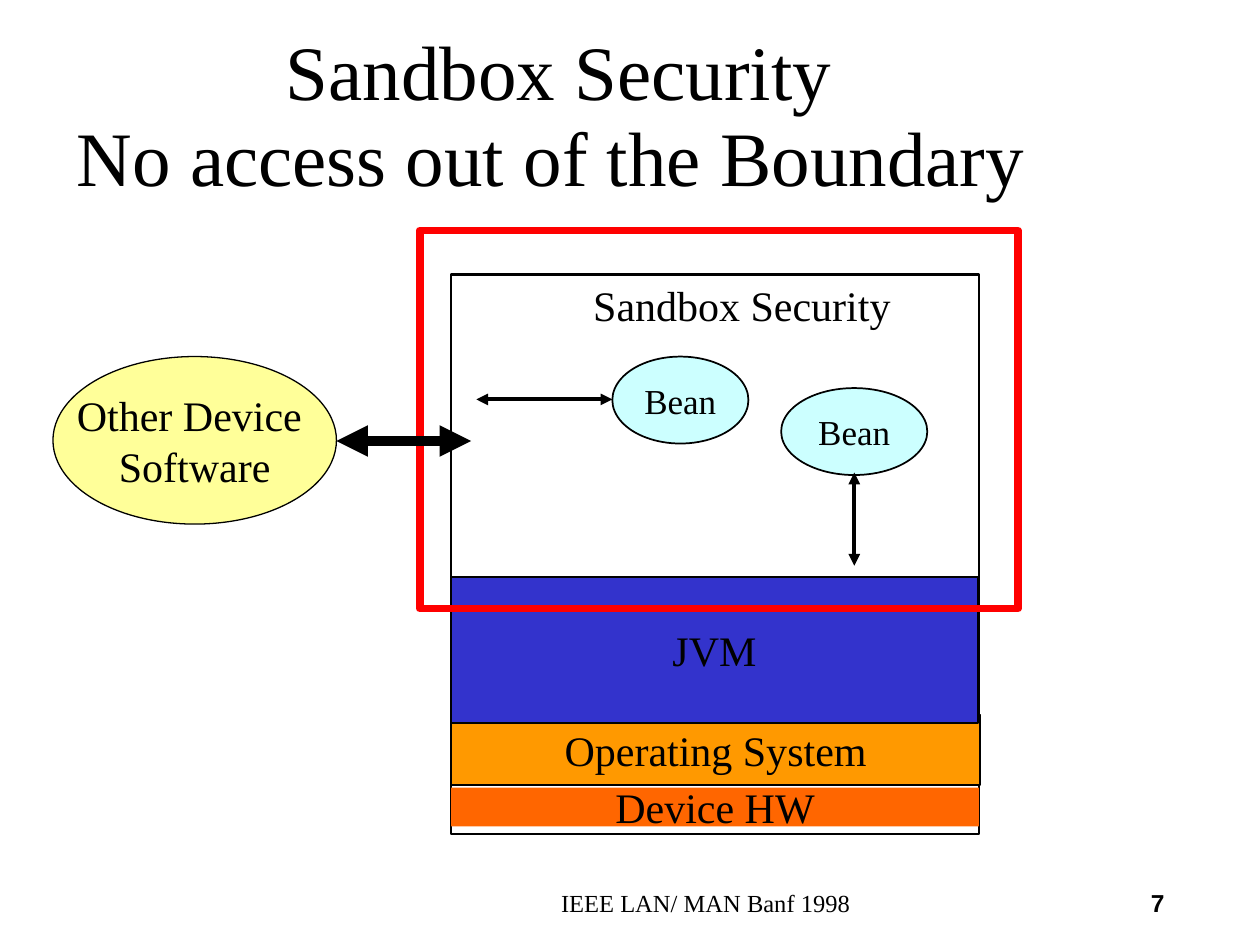
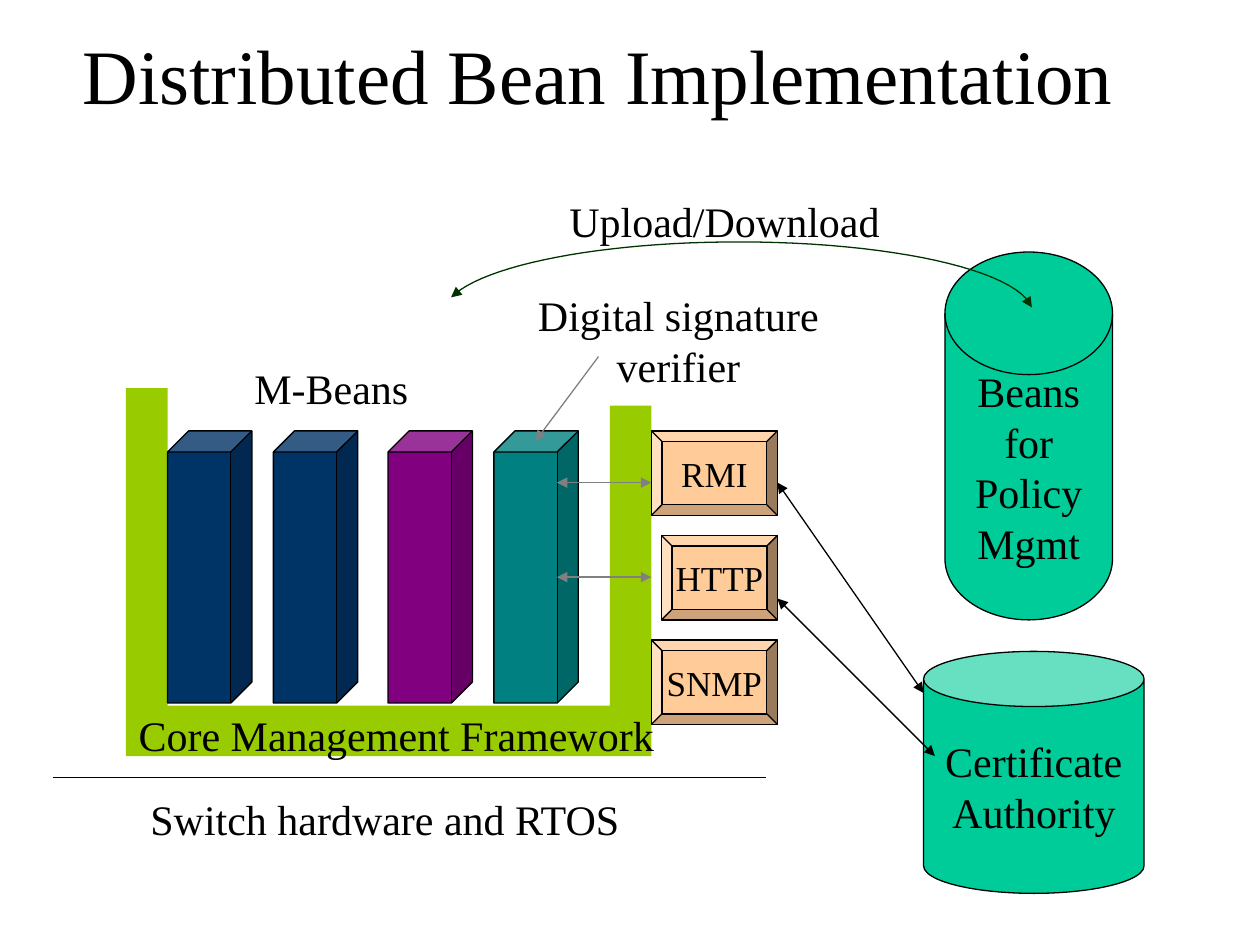
from lxml import etree
from pptx import Presentation
from pptx.dml.color import RGBColor
from pptx.enum.shapes import MSO_CONNECTOR, MSO_SHAPE
from pptx.enum.text import MSO_ANCHOR, MSO_AUTO_SIZE, PP_ALIGN
from pptx.oxml.ns import qn
from pptx.util import Inches, Pt

RECTANGLE, ELLIPSE = MSO_SHAPE.RECTANGLE, MSO_SHAPE.OVAL
CUBE, BEVEL, CAN = MSO_SHAPE.CUBE, MSO_SHAPE.BEVEL, MSO_SHAPE.CAN
DISK = MSO_SHAPE.FLOWCHART_MAGNETIC_DISK
STRAIGHT = MSO_CONNECTOR.STRAIGHT
TOP, MIDDLE, BOTTOM = MSO_ANCHOR.TOP, MSO_ANCHOR.MIDDLE, MSO_ANCHOR.BOTTOM
LEFT, CENTER, RIGHT = PP_ALIGN.LEFT, PP_ALIGN.CENTER, PP_ALIGN.RIGHT
NO_AUTOFIT = MSO_AUTO_SIZE.NONE
TITLE_ONLY = 5

SERIF, SANS = "Times New Roman", "Arial"
BLACK, GREY, RED, DARK_GREEN = "000000", "808080", "FF0000", "003300"
CYAN, YELLOW, LIME, GREEN, PEACH = "CCFFFF", "FFFF99", "99CC00", "00CC99", "FFCC99"

SECURITY_TITLE = "Sandbox Security\nNo access out of the Boundary"
FOOTER, PAGE_NUMBER = "IEEE LAN/ MAN Banf 1998 ", "7"
STACK_LEFT = 3.58
STACK = [
    ("", 2.18, 4.19, 4.44, None, 1.5),
    ("Device HW", 6.25, 4.19, 0.31, "FF6600", 0),
    ("Operating System", 5.67, 4.2, 0.56, "FF9900", 1),
    ("JVM", 4.58, 4.18, 1.16, "3333CC", 1),
]
BEANS = [(4.86, 2.83, 1.08, 0.69), (6.2, 3.08, 1.16, 0.69)]
BOUNDARY = (3.33, 1.83, 4.75, 3)
OTHER_SOFTWARE = ("Other Device \nSoftware", (0.42, 2.83, 2.25, 1.33))
SECURITY_ARROWS = [
    ((3.78, 3.17), (4.86, 3.17), 2.25),
    ((6.78, 3.75), (6.78, 4.49), 2.25),
    ((2.67, 3.5), (3.74, 3.5), 6),
]

BEAN_TITLE = "Distributed Bean Implementation"
FRAMEWORK = [(1, 3.08), (1, 6), (5.17, 6), (5.17, 3.22),
             (4.84, 3.22), (4.84, 5.6), (1.33, 5.6), (1.33, 3.08)]
CUBES = [(1.33, "003366"), (2.17, "003366"), (3.08, "800080"), (3.92, "008080")]
PROTOCOLS = [("RMI", 5.17), ("HTTP", 5.25), ("SNMP", 5.17)]
PROTOCOL_RIGHT, PROTOCOL_TOP, PROTOCOL_STEP = 6.17, 3.42, 0.83
STORES = [
    (DISK, "Beans\nfor\nPolicy\nMgmt", (7.5, 2, 1.33, 2.92)),
    (CAN, "Certificate\nAuthority", (7.33, 5.17, 1.75, 1.92)),
]
LABELS = [
    ("Switch hardware and RTOS", (1.08, 6.25, 3.95, 0.5)),
    ("Core Management Framework", (1, 5.58, 4.29, 0.5)),
    ("M-Beans", (1.92, 2.83, 1.42, 0.5)),
    ("Upload/Download", (4.42, 1.5, 2.66, 0.5)),
    ("Digital signature\nverifier", (4.17, 2.25, 2.43, 0.9)),
]
TRANSFER_CURVE = [
    ((3.58, 2.36), (3.84, 2.1), (4.78, 1.92), (5.86, 1.92)),
    ((5.86, 1.92), (7.06, 1.92), (8.07, 2.14), (8.19, 2.44)),
]
CURVE_STEPS = 24
BEAN_LINES = [
    ((0.42, 6.17), (6.08, 6.17), BLACK, ""),
    ((4.75, 2.83), (4.25, 3.5), GREY, "tail"),
    ((7.42, 6), (6.17, 4.75), BLACK, "head tail"),
    ((7.33, 5.5), (6.17, 3.83), BLACK, "head tail"),
    ((5.17, 3.83), (4.42, 3.83), GREY, "head tail"),
    ((5.17, 4.58), (4.42, 4.58), GREY, "head tail"),
]


def colour(value):
    return RGBColor.from_string(value)


def inches(values):
    return [Inches(value) for value in values]


def format_span(span, size, font=SERIF, bold=False):
    span.font.size = Pt(size)
    span.font.name = font
    span.font.bold = bold
    span.font.color.rgb = colour(BLACK)


def write(shape, text, size=24, align=CENTER, anchor=MIDDLE, wrap=False, font=SERIF, bold=False):
    frame = shape.text_frame
    frame.text = text
    frame.word_wrap = wrap
    frame.auto_size = NO_AUTOFIT
    frame.vertical_anchor = anchor
    for para in frame.paragraphs:
        para.alignment = align
        for span in para.runs:
            format_span(span, size, font, bold)


def add_label(page, text, place, **style):
    box = page.shapes.add_textbox(*inches(place))
    write(box, text, **style)


def paint(shape, fill, line_width, line_colour=BLACK):
    shape.shadow.inherit = False
    if fill:
        shape.fill.solid()
        shape.fill.fore_color.rgb = colour(fill)
    else:
        shape.fill.background()
    if line_width:
        shape.line.width = Pt(line_width)
        shape.line.color.rgb = colour(line_colour)
    else:
        shape.line.fill.background()


def add_box(page, kind, place, fill, line_width=0.75, text="", size=24, line_colour=BLACK):
    box = page.shapes.add_shape(kind, *inches(place))
    paint(box, fill, line_width, line_colour)
    if text:
        write(box, text, size)


def add_arrowheads(shape, ends):
    line = shape.line._get_or_add_ln()
    for end in ends.split():
        etree.SubElement(line, qn(f"a:{end}End"), type="triangle")


def add_line(page, start, finish, width=0.75, line_colour=BLACK, ends="head tail"):
    line = page.shapes.add_connector(STRAIGHT, *inches(start + finish))
    line.line.width = Pt(width)
    line.line.color.rgb = colour(line_colour)
    add_arrowheads(line, ends)
    etree.SubElement(line._element.spPr, qn("a:effectLst"))


def add_outline(page, points, close):
    corners = [tuple(inches(point)) for point in points]
    builder = page.shapes.build_freeform(*corners[0], scale=1.0)
    builder.add_line_segments(corners[1:], close=close)
    return builder.convert_to_shape()


def curve_points(segments):
    points = [segments[0][0]]
    for segment in segments:
        for step in range(1, CURVE_STEPS + 1):
            t = step / CURVE_STEPS
            weights = ((1 - t) ** 3, 3 * t * (1 - t) ** 2, 3 * t * t * (1 - t), t ** 3)
            points.append(tuple(sum(w * point[axis] for w, point in zip(weights, segment))
                                for axis in (0, 1)))
    return points


def add_page(deck, title_text, place, anchor):
    page = deck.slides.add_slide(deck.slide_layouts[TITLE_ONLY])
    title = page.shapes.title
    title.left, title.top, title.width, title.height = inches(place)
    write(title, title_text, 44, anchor=anchor, wrap=True)
    frame = title.text_frame
    frame.margin_left = frame.margin_right = Inches(0.05)
    frame.margin_top = frame.margin_bottom = Inches(0.05)
    return page


def build_security_page(deck):
    page = add_page(deck, SECURITY_TITLE, (0.18, 0.61, 8.51, 1.06), BOTTOM)
    paragraphs = page.shapes.title.text_frame.paragraphs
    for para in paragraphs:
        para.line_spacing = 0.93
    span = paragraphs[-1].add_run()
    span.text = " "
    format_span(span, 32, SANS, True)

    for text, top, width, height, fill, line_width in STACK:
        add_box(page, RECTANGLE, (STACK_LEFT, top, width, height), fill, line_width, text)
    for place in BEANS:
        add_box(page, ELLIPSE, place, CYAN, 1, "Bean", 20)
    add_box(page, RECTANGLE, BOUNDARY, None, 4.5, line_colour=RED)
    add_label(page, "Sandbox Security", (4.61, 2.17, 3, 0.5), align=LEFT, anchor=TOP, wrap=True)
    for start, finish, width in SECURITY_ARROWS:
        add_line(page, start, finish, width)
    text, place = OTHER_SOFTWARE
    add_box(page, ELLIPSE, place, YELLOW, text=text)

    add_label(page, FOOTER, (3.25, 7, 4.75, 0.5), size=14, anchor=TOP, wrap=True)
    add_label(page, PAGE_NUMBER, (8.67, 7, 0.67, 0.33), size=14, align=RIGHT,
              wrap=True, font=SANS, bold=True)


def build_bean_page(deck):
    page = add_page(deck, BEAN_TITLE, (0, 0.17, 9.5, 0.84), TOP)
    paint(add_outline(page, FRAMEWORK, True), LIME, 0)
    for kind, text, place in STORES:
        add_box(page, kind, place, GREEN, text=text)
    for left, fill in CUBES:
        add_box(page, CUBE, (left, 3.42, 0.67, 2.16), fill)
    for row, (text, left) in enumerate(PROTOCOLS):
        place = (left, PROTOCOL_TOP + row * PROTOCOL_STEP, PROTOCOL_RIGHT - left, 0.67)
        add_box(page, BEVEL, place, PEACH, text=text, size=20)
    for text, place in LABELS:
        add_label(page, text, place)

    curve = add_outline(page, curve_points(TRANSFER_CURVE), False)
    paint(curve, None, 0.75, DARK_GREEN)
    add_arrowheads(curve, "head tail")
    for start, finish, line_colour, ends in BEAN_LINES:
        add_line(page, start, finish, line_colour=line_colour, ends=ends)


def main():
    deck = Presentation()
    deck.slide_width, deck.slide_height = Inches(10), Inches(7.5)
    build_security_page(deck)
    build_bean_page(deck)
    deck.save("out.pptx")


if __name__ == "__main__":
    main()
